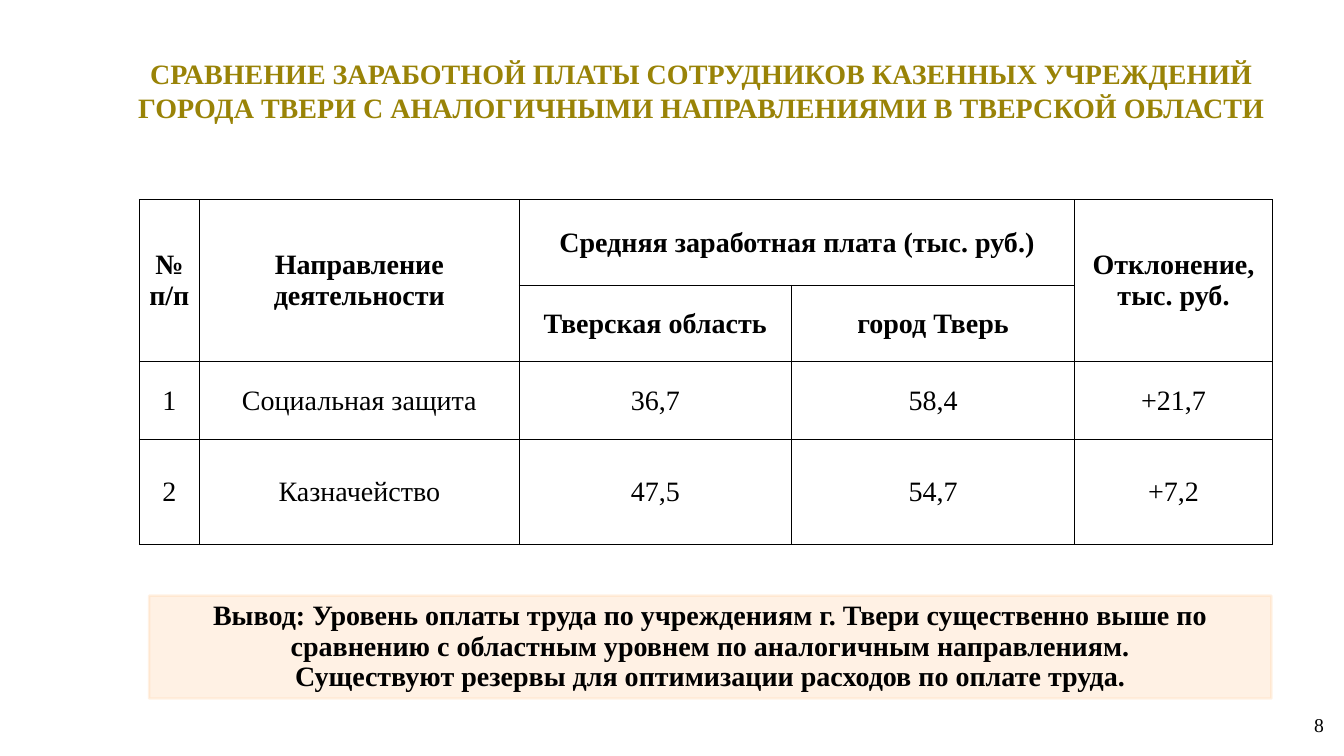
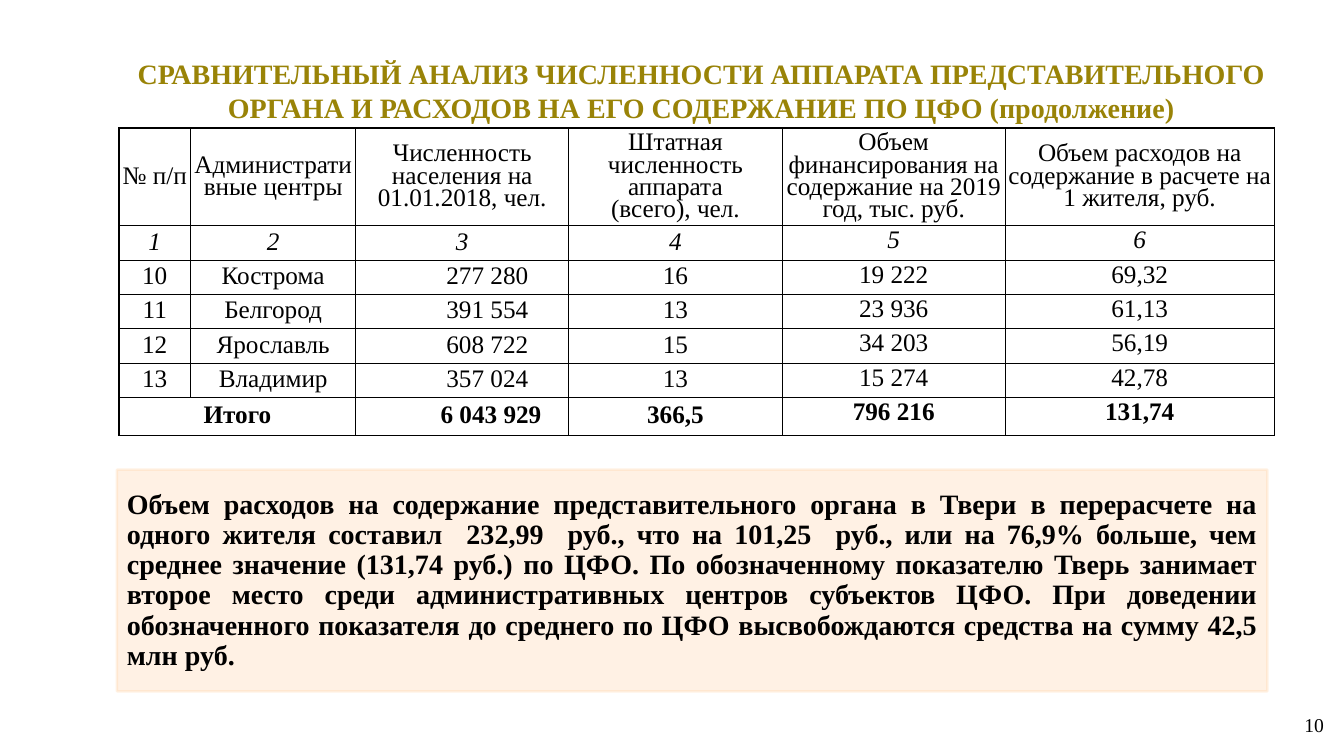
from lxml import etree
from pptx import Presentation
from pptx.dml.color import RGBColor
from pptx.enum.shapes import MSO_SHAPE
from pptx.enum.text import MSO_ANCHOR as ANCHOR, PP_ALIGN as ALIGN
from pptx.oxml import parse_xml
from pptx.oxml.ns import nsdecls, qn
from pptx.util import Pt

PX = 9144
FONT = "Times New Roman"
GOLD = RGBColor(0x99, 0x83, 0x07)
PEACH = RGBColor(0xFF, 0xCC, 0x99)
BLACK = RGBColor(0, 0, 0)
TITLE_BOX = (118, 53, 1155, 73)
NUMBER_BOX = (1090, 702, 233, 40)
CELL_INSETS = dict(margin_left=PX, margin_top=PX, margin_right=PX, margin_bottom=0,
                   vertical_anchor=ANCHOR.MIDDLE)
OPEN_INSETS = dict(margin_left=10 * PX, margin_top=5 * PX, margin_right=10 * PX,
                   margin_bottom=5 * PX, vertical_anchor=ANCHOR.TOP)


def px(*values):
    """Turn px lengths into EMU."""
    return [v * PX for v in values]


def apply(obj, fmt):
    """Set every attribute of a format dict on an object."""
    for name, value in fmt.items():
        setattr(obj, name, value)


def write(tf, text, color=BLACK, align=ALIGN.CENTER, spacing=1.0, **font):
    """Fill a text frame, one paragraph for each line of text."""
    tf.word_wrap = True
    for i, line in enumerate(text.split("\n")):
        p = tf.paragraphs[0] if i == 0 else tf.add_paragraph()
        apply(p, dict(alignment=align, line_spacing=spacing))
        r = p.add_run()
        r.text = line
        apply(r.font, dict(name=FONT, **font))
        r.font.color.rgb = color


def add_frame(prs, title, number):
    """Add a blank slide with its title and page number."""
    s = prs.slides.add_slide(prs.slide_layouts[6])
    tf = s.shapes.add_textbox(*px(*TITLE_BOX)).text_frame
    tf.vertical_anchor = ANCHOR.MIDDLE
    write(tf, title, GOLD, size=Pt(20), bold=True)
    tf = s.shapes.add_textbox(*px(*NUMBER_BOX)).text_frame
    write(tf, number, align=ALIGN.RIGHT, size=Pt(14))
    return s


def add_conclusion(s, box, text, align):
    """Add the translucent peach panel with the conclusion."""
    sp = s.shapes.add_shape(MSO_SHAPE.RECTANGLE, *px(*box))
    sp.shadow.inherit = False
    sp.fill.solid()
    sp.fill.fore_color.rgb = PEACH
    sp.line.color.rgb = PEACH
    sp.line.width = Pt(1.75)
    for color in sp._element.spPr.iter(qn("a:srgbClr")):
        etree.SubElement(color, qn("a:alpha"), val="26000")
    sp.text_frame.vertical_anchor = ANCHOR.MIDDLE
    write(sp.text_frame, text, align=align, spacing=0.9, size=Pt(20), bold=True)


def add_borders(cell, width):
    """Draw the four black borders of a cell."""
    tcPr = cell._tc.get_or_add_tcPr()
    for i, side in enumerate("LRTB"):
        tcPr.insert(i, parse_xml(
            f'<a:ln{side} {nsdecls("a")} w="{Pt(width)}"><a:solidFill>'
            f'<a:srgbClr val="{BLACK}"/></a:solidFill></a:ln{side}>'))


def add_grid(s, origin, cols, heights, rows, spans, border, size, spacing=1.0,
             bold_rows=(), italic_rows=()):
    """Add a bordered table; None marks a cell covered by a span."""
    box = px(*origin, sum(cols), sum(heights))
    table = s.shapes.add_table(len(rows), len(cols), *box).table
    apply(table, dict(first_row=False, horz_banding=False))
    for col, width in zip(table.columns, cols):
        col.width = width * PX
    for row, height in zip(table.rows, heights):
        row.height = height * PX
    for i, row in enumerate(rows):
        for j, text in enumerate(row):
            cell = table.cell(i, j)
            apply(cell, CELL_INSETS)
            cell.fill.background()
            add_borders(cell, border)
            if text is not None:
                write(cell.text_frame, text, spacing=spacing, size=Pt(size),
                      bold=i in bold_rows, italic=i in italic_rows)
    for top, left, bottom, right in spans:
        table.cell(top, left).merge(table.cell(bottom, right))
    return table


def salary_slide(prs):
    """Build the salary comparison slide."""
    s = add_frame(prs, "СРАВНЕНИЕ ЗАРАБОТНОЙ ПЛАТЫ СОТРУДНИКОВ КАЗЕННЫХ УЧРЕЖДЕНИЙ "
                  "ГОРОДА ТВЕРИ С АНАЛОГИЧНЫМИ НАПРАВЛЕНИЯМИ В ТВЕРСКОЙ ОБЛАСТИ", "8")
    rows = [
        ("№ п/п", "Направление деятельности", "Средняя заработная плата (тыс. руб.)",
         None, "Отклонение, тыс. руб."),
        (None, None, "Тверская область", "город Тверь", None),
        ("1", "Социальная защита", "36,7", "58,4", "+21,7"),
        ("2", "Казначейство", "47,5", "54,7", "+7,2"),
    ]
    spans = [(0, 0, 1, 0), (0, 1, 1, 1), (0, 2, 0, 3), (0, 4, 1, 4)]
    add_grid(s, (138, 198), (60, 317, 270, 281, 196), (85, 75, 78, 104), rows, spans,
             border=0.5, size=20, bold_rows=(0, 1))
    add_conclusion(s, (148, 591, 1113, 102),
                   "Вывод: Уровень оплаты труда по учреждениям г. Твери существенно выше "
                   "по сравнению с областным уровнем по аналогичным направлениям.\n"
                   "Существуют резервы для оптимизации расходов по оплате труда.",
                   ALIGN.CENTER)


def staff_slide(prs):
    """Build the slide on staff numbers and upkeep costs."""
    s = add_frame(prs, "СРАВНИТЕЛЬНЫЙ АНАЛИЗ ЧИСЛЕННОСТИ АППАРАТА ПРЕДСТАВИТЕЛЬНОГО "
                  "ОРГАНА И РАСХОДОВ НА ЕГО СОДЕРЖАНИЕ ПО ЦФО (продолжение)", "10")
    rows = [
        ("№ п/п", "Административные центры", "Численность населения на 01.01.2018, чел.",
         "Штатная численность аппарата\n(всего), чел.",
         "Объем финансирования на содержание на 2019 год, тыс. руб.",
         "Объем расходов на содержание в расчете на\n1 жителя, руб."),
        tuple("123456"),
        ("10", "Кострома", "277 280", "16", "19 222", "69,32"),
        ("11", "Белгород", "391 554", "13", "23 936", "61,13"),
        ("12", "Ярославль", "608 722", "15", "34 203", "56,19"),
        ("13", "Владимир", "357 024", "13", "15 274", "42,78"),
        ("Итого", None, "6 043 929", "366,5", "796 216", "131,74"),
    ]
    total = len(rows) - 1
    table = add_grid(s, (118, 127), (71, 164, 211, 212, 221, 267),
                     (95, *[32] * 5, 38), rows, [(total, 0, total, 1)], border=1,
                     size=18, spacing=0.8, bold_rows=(total,), italic_rows=(1,))
    for i in range(1, total + 1):
        for j in (4, 5):
            apply(table.cell(i, j), OPEN_INSETS)
        if i > 1:
            cell = table.cell(i, 2)
            cell.margin_right = (27 if i == total else 40) * PX
            cell.text_frame.paragraphs[0].alignment = ALIGN.RIGHT
    add_conclusion(s, (116, 466, 1141, 220),
                   "Объем расходов на содержание представительного органа в Твери в "
                   "перерасчете на одного жителя составил  232,99  руб., что на 101,25  "
                   "руб., или на 76,9% больше, чем среднее значение (131,74 руб.) по ЦФО. "
                   "По обозначенному показателю Тверь занимает второе место среди "
                   "административных центров субъектов ЦФО. При доведении обозначенного "
                   "показателя до среднего по ЦФО высвобождаются средства на сумму 42,5 "
                   "млн руб.", ALIGN.JUSTIFY)


def main():
    """Build and save the presentation."""
    prs = Presentation()
    apply(prs, dict(slide_width=1333 * PX, slide_height=750 * PX))
    salary_slide(prs)
    staff_slide(prs)
    prs.save("out.pptx")


if __name__ == "__main__":
    main()
